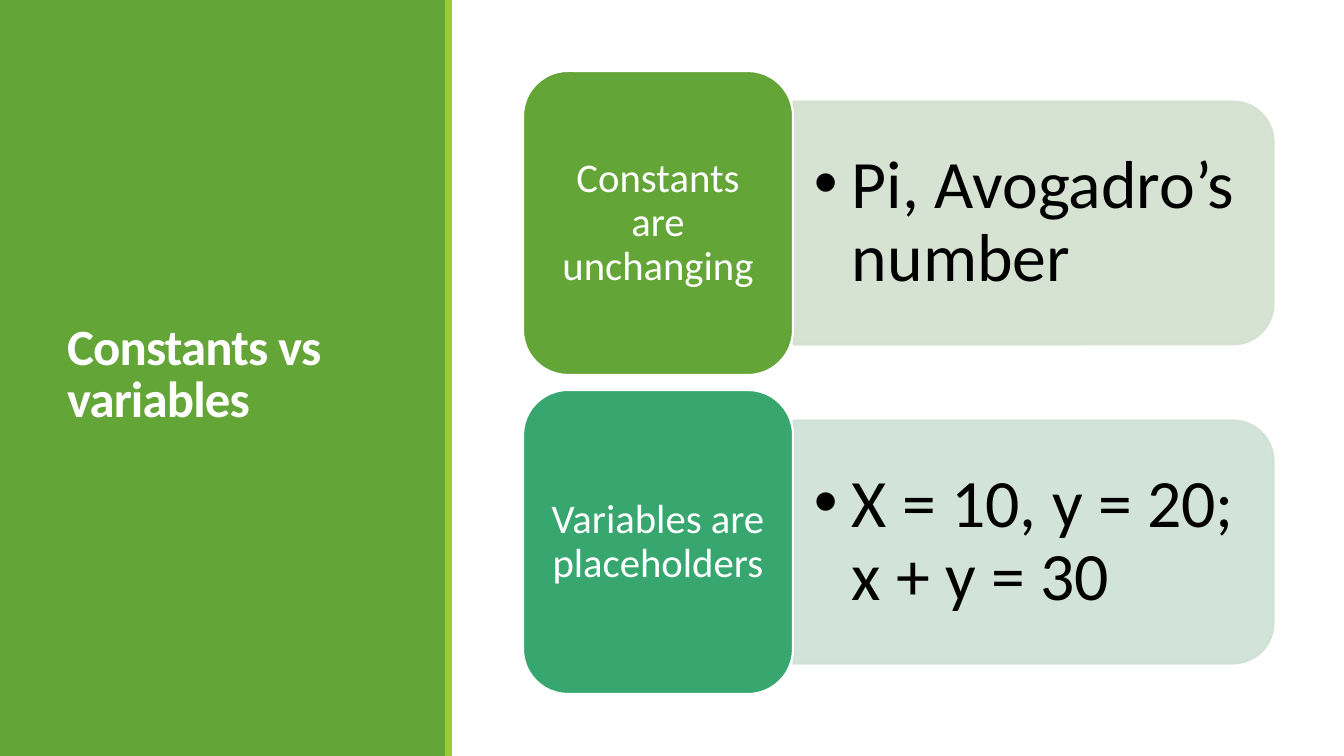
from dataclasses import dataclass

from lxml import etree
from pptx import Presentation
from pptx import util as u
from pptx.dml.color import RGBColor
from pptx.enum import shapes, text
from pptx.oxml.ns import qn
from pptx.shapes.autoshape import Shape
from pptx.slide import Slide

SCALE = 7495
FONT = "Calibri"

GREEN = RGBColor(0x63, 0xA5, 0x37)
LIME = RGBColor(0x99, 0xCB, 0x38)
TEAL = RGBColor(0x37, 0xA7, 0x6F)
PALE_GREEN = RGBColor(0xD3, 0xE1, 0xCE)
PALE_TEAL = RGBColor(0xCE, 0xE1, 0xD5)
WHITE = RGBColor(0xFF, 0xFF, 0xFF)
BLACK = RGBColor(0x00, 0x00, 0x00)

ROW_TOP = 71
ROW_PITCH = 319
TILE_LEFT, TILE_WIDTH, TILE_HEIGHT = 523, 270, 304
PANEL_LEFT, PANEL_WIDTH, PANEL_HEIGHT = 793, 480, 243
EXAMPLE_WIDTH, EXAMPLE_HEIGHT = 468, 220


@dataclass(frozen=True)
class Concept:
    label: str
    example: str
    tile_color: RGBColor
    panel_color: RGBColor


CONCEPTS = (
    Concept("Constants are unchanging", "Pi, Avogadro’s number", GREEN, PALE_GREEN),
    Concept("Variables are placeholders", "X = 10, y = 20; x + y = 30", TEAL, PALE_TEAL),
)


def px(length: int) -> u.Emu:
    return u.Emu(length * SCALE)


def add_block(slide: Slide, kind: shapes.MSO_SHAPE, left: int, top: int,
              width: int, height: int, fill: RGBColor,
              line: RGBColor | None = None) -> Shape:
    shape = slide.shapes.add_shape(kind, px(left), px(top), px(width), px(height))
    shape.shadow.inherit = False
    shape.fill.solid()
    shape.fill.fore_color.rgb = fill
    if line is None:
        shape.line.fill.background()
    else:
        shape.line.color.rgb = line
        shape.line.width = u.Pt(1.25)
    return shape


def write(shape: Shape, content: str, size: int, color: RGBColor,
          alignment: text.PP_ALIGN = text.PP_ALIGN.LEFT, spacing: float = 0.9) -> None:
    frame = shape.text_frame
    frame.text = content
    frame.word_wrap = True
    frame.auto_size = text.MSO_AUTO_SIZE.NONE
    frame.vertical_anchor = text.MSO_ANCHOR.MIDDLE
    paragraph = frame.paragraphs[0]
    paragraph.alignment = alignment
    paragraph.line_spacing = spacing
    font = paragraph.runs[0].font
    font.name = FONT
    font.size = u.Pt(size)
    font.color.rgb = color


def set_opacity(shape: Shape, percent: int) -> None:
    for color in shape.element.spPr.iter(qn("a:srgbClr")):
        etree.SubElement(color, qn("a:alpha"), val=str(percent * 1000))


def add_bullet(shape: Shape, indent: int) -> None:
    properties = shape.text_frame.paragraphs[0]._p.get_or_add_pPr()
    properties.set("marL", str(px(indent)))
    properties.set("indent", str(-px(indent)))
    etree.SubElement(properties, qn("a:buFont"), typeface="Arial")
    etree.SubElement(properties, qn("a:buChar"), char="•")


def add_title(slide: Slide) -> None:
    title = slide.shapes.title
    sidebar = add_block(slide, shapes.MSO_SHAPE.RECTANGLE, 0, 0, 446, 756, GREEN)
    title.element.addprevious(sidebar.element)
    title.left, title.top, title.width, title.height = map(px, (55, 57, 340, 637))
    write(title, "Constants vs variables", 30, WHITE, spacing=0.85)
    paragraph = title.text_frame.paragraphs[0]
    paragraph.space_after = u.Pt(6)
    run = paragraph.runs[0]
    run.font.bold = True
    run._r.get_or_add_rPr().set("spc", "-50")
    add_block(slide, shapes.MSO_SHAPE.RECTANGLE, 445, 0, 7, 756, LIME)


def add_concept(slide: Slide, concept: Concept, top: int) -> None:
    middle = top + TILE_HEIGHT // 2
    center = PANEL_LEFT + PANEL_WIDTH // 2
    panel = add_block(slide, shapes.MSO_SHAPE.ROUND_2_SAME_RECTANGLE,
                      center - PANEL_HEIGHT // 2, middle - PANEL_WIDTH // 2,
                      PANEL_HEIGHT, PANEL_WIDTH, concept.panel_color, concept.panel_color)
    panel.rotation = 90
    set_opacity(panel, 90)

    example = slide.shapes.add_textbox(px(PANEL_LEFT), px(middle - EXAMPLE_HEIGHT // 2),
                                       px(EXAMPLE_WIDTH), px(EXAMPLE_HEIGHT))
    write(example, concept.example, 40, BLACK)
    frame = example.text_frame
    frame.margin_left = frame.margin_right = px(21)
    frame.margin_top = frame.margin_bottom = px(10)
    add_bullet(example, 38)

    tile = add_block(slide, shapes.MSO_SHAPE.ROUNDED_RECTANGLE, TILE_LEFT, top,
                     TILE_WIDTH, TILE_HEIGHT, concept.tile_color, WHITE)
    write(tile, concept.label, 24, WHITE, text.PP_ALIGN.CENTER)


def main() -> None:
    presentation = Presentation()
    presentation.slide_width = px(1344)
    presentation.slide_height = px(756)
    slide = presentation.slides.add_slide(presentation.slide_layouts[5])
    add_title(slide)
    for row, concept in enumerate(CONCEPTS):
        add_concept(slide, concept, ROW_TOP + row * ROW_PITCH)
    presentation.save("out.pptx")


if __name__ == "__main__":
    main()
